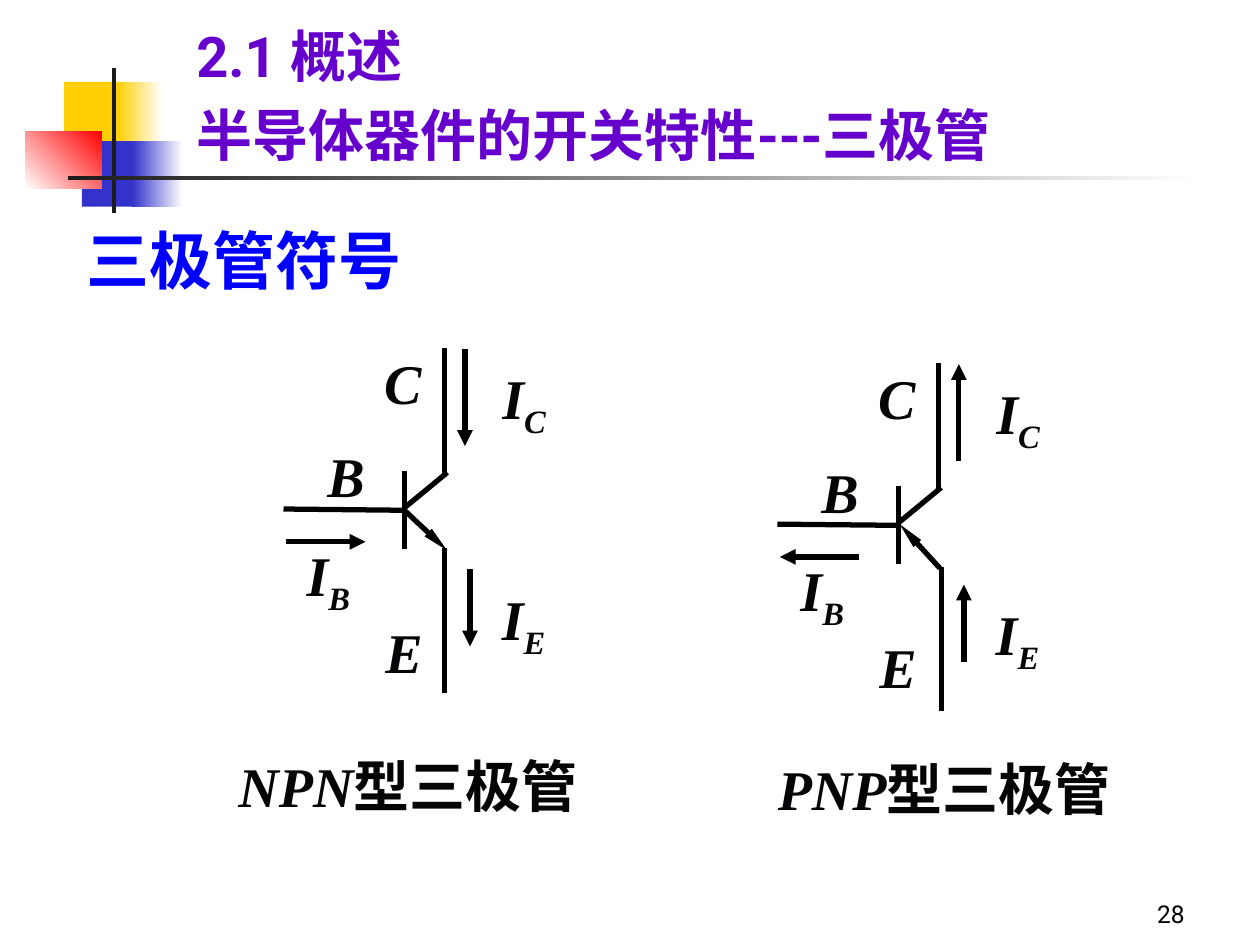
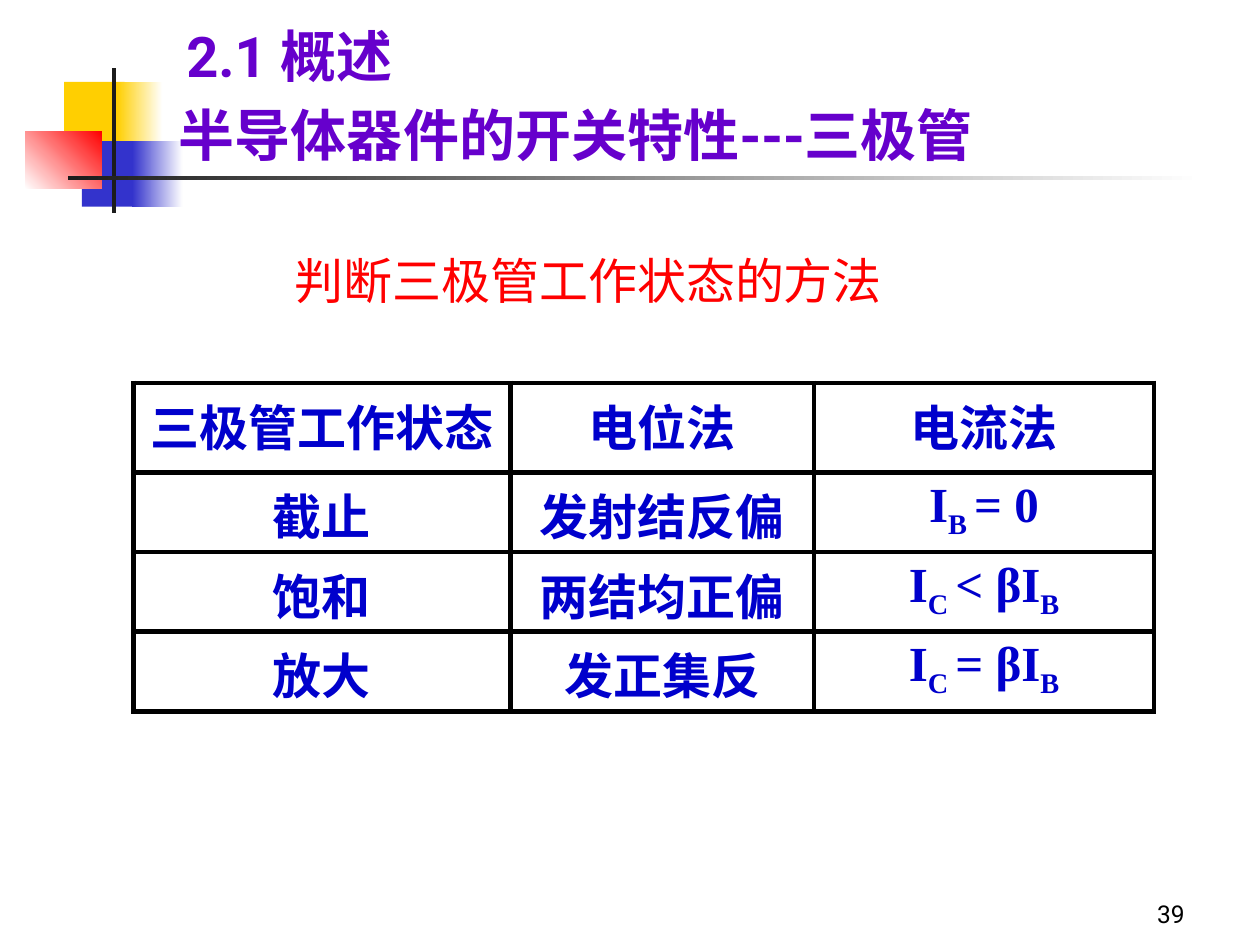
"""Builds two slides on transistor symbols and operating states."""
from lxml import etree
from pptx import Presentation
from pptx.dml.color import RGBColor
from pptx.enum.shapes import MSO_CONNECTOR, MSO_SHAPE
from pptx.enum.text import MSO_ANCHOR, MSO_AUTO_SIZE, PP_ALIGN
from pptx.oxml.ns import qn
from pptx.util import Pt

LEFT, CENTER, RIGHT = PP_ALIGN.LEFT, PP_ALIGN.CENTER, PP_ALIGN.RIGHT
TOP, MIDDLE, BOTTOM = MSO_ANCHOR.TOP, MSO_ANCHOR.MIDDLE, MSO_ANCHOR.BOTTOM
STRAIGHT, RECTANGLE = MSO_CONNECTOR.STRAIGHT, MSO_SHAPE.RECTANGLE
NO_AUTOFIT = MSO_AUTO_SIZE.NONE

EMU_PER_PX = 9144
TITLE_ONLY = 5
SERIF, SANS, HEADING, CJK = "Times New Roman", "Arial", "Roboto", "Noto Sans CJK SC"
COLORS = {
    "white": "FFFFFF", "black": "000000", "ink": "050507", "bar": "1C1C1C",
    "yellow": "FFCF01", "indigo": "3333CC", "red": "FF0000",
    "title": "6600CC", "heading": "0000FF", "table": "0000CC",
}
ORNAMENT = [
    ((51, 65, 48, 52), ("yellow",), 0),
    ((93, 65, 36, 52), ("yellow", "white"), 0),
    ((65, 112, 46, 52), ("indigo",), 0),
    ((105, 112, 40, 52), ("indigo", "white"), 0),
    ((20, 104, 61, 46), ("white", "red"), 45),
    ((89, 54, 3, 115), ("bar",), 0),
    ((54, 140, 900, 3), ("bar", "white"), 0),
]
LEADS = [
    (225, 404, 323, 405),
    (321, 374, 321, 436),
    (321, 403, 355, 375),
    (353, 276, 353, 377),
]
CURRENTS = [(227, 430, 290, 430), (373, 452, 373, 513), (369, 277, 369, 354)]
LABELS = [
    ("B", 250, 346, 49), ("E", 296, 485, 49), ("C", 295, 272, 49),
    ("I|B", 232, 428, 57), ("I|E", 385, 463, 61), ("I|C", 371, 287, 90),
]
STATES = [
    ("三极管工作状态", "电位法", "电流法"),
    ("截止", "发射结反偏", "I|B |= 0"),
    ("饱和", "两结均正偏", "I|C |< βI|B"),
    ("放大", "发正集反", "I|C |= βI|B"),
]


def px(*lengths):
    return [length * EMU_PER_PX for length in lengths]


def rgb(color):
    return RGBColor.from_string(COLORS[color])


class Deck:
    def __init__(self):
        self.presentation = Presentation()
        self.presentation.slide_width, self.presentation.slide_height = px(1000, 750)
        self.slide = None

    def start_slide(self, number, title_box, section_left):
        layout = self.presentation.slide_layouts[TITLE_ONLY]
        self.slide = self.presentation.slides.add_slide(layout)
        for box, colors, angle in ORNAMENT:
            self.block(box, colors, angle)
        self.title("半导体器件的开关特性---三极管", title_box)
        self.text("2.1 概述", (section_left, 13, 819, 62), HEADING, 32, "title",
                  bold=True, anchor=BOTTOM)
        self.text(number, (742, 692, 208, 50), HEADING, 14, "black",
                  align=RIGHT, anchor=BOTTOM)

    def block(self, box, colors, angle):
        block = self.slide.shapes.add_shape(RECTANGLE, *px(*box))
        block.shadow.inherit = False
        block.line.fill.background()
        if len(colors) == 1:
            block.fill.solid()
            block.fill.fore_color.rgb = rgb(colors[0])
            return
        block.fill.gradient()
        block.fill.gradient_angle = angle
        for stop, color, position in zip(block.fill.gradient_stops, colors, (0, 1)):
            stop.color.rgb = rgb(color)
            stop.position = position

    def add_runs(self, paragraph, text, font, size, color, bold, italic, align):
        """Adds runs whose pieces alternate, at each bar, between base line and subscript."""
        paragraph.alignment = align
        for index, piece in enumerate(text.split("|")):
            run = paragraph.add_run()
            run.text = piece
            run.font.size, run.font.bold, run.font.italic = Pt(size), bold, italic
            run.font.color.rgb = rgb(color)
            run.font.name = font
            properties = run._r.get_or_add_rPr()
            etree.SubElement(properties, qn("a:ea"), typeface=CJK)
            if index % 2:
                properties.set("baseline", "-25000")

    def title(self, text, box):
        title = self.slide.shapes.title
        title.left, title.top, title.width, title.height = px(*box)
        title.element.getparent().append(title.element)
        frame = title.text_frame
        frame.auto_size = NO_AUTOFIT
        frame.vertical_anchor = BOTTOM
        self.add_runs(frame.paragraphs[0], text, HEADING, 32, "title", True, False, LEFT)

    def text(self, text, box, font, size, color, bold=False, italic=False,
             align=LEFT, anchor=MIDDLE, wrap=True):
        frame = self.slide.shapes.add_textbox(*px(*box)).text_frame
        frame.word_wrap = wrap
        frame.vertical_anchor = anchor
        paragraph = frame.paragraphs[0]
        self.add_runs(paragraph, text, font, size, color, bold, italic, align)
        return paragraph

    def line(self, ends, arrow=None):
        line = self.slide.shapes.add_connector(STRAIGHT, *px(*ends))
        line.line.width = Pt(3)
        line.line.color.rgb = rgb("black")
        properties = line.element.spPr
        if arrow:
            width, length = arrow
            etree.SubElement(properties.find(qn("a:ln")), qn("a:tailEnd"),
                             type="triangle", w=width, len=length)
        etree.SubElement(properties, qn("a:effectLst"))

    def transistor(self, dx, dy, emitter, emitter_lead, inward):
        def shift(ends):
            x1, y1, x2, y2 = ends
            return x1 + dx, y1 + dy, x2 + dx, y2 + dy

        for lead in LEADS + [emitter_lead]:
            self.line(shift(lead))
        self.line(shift(emitter), ("sm", "lg"))
        for current in CURRENTS:
            ends = current if inward else current[2:] + current[:2]
            self.line(shift(ends), ("med", "med"))
        for label, left, top, width in LABELS:
            self.text(label, (left + dx, top + dy, width, 63), SERIF, 32, "ink",
                      bold=True, italic=True, align=CENTER, wrap=False)

    def caption(self, polarity, box):
        paragraph = self.text(polarity, box, SERIF, 32, "ink", bold=True,
                              italic=True, align=CENTER)
        self.add_runs(paragraph, "型三极管", SERIF, 32, "ink", True, False, CENTER)

    def table(self, rows, left, top, widths, heights):
        frame = self.slide.shapes.add_table(
            len(rows), len(widths), *px(left, top, sum(widths), sum(heights)))
        table = frame.table
        table.first_row = table.horz_banding = False
        for column, width in zip(table.columns, px(*widths)):
            column.width = width
        for row, height, texts in zip(table.rows, px(*heights), rows):
            row.height = height
            for cell, text in zip(row.cells, texts):
                cell.fill.background()
                cell.vertical_anchor = TOP
                self.add_runs(cell.text_frame.paragraphs[0], text, SERIF, 28, "table",
                              True, False, CENTER)
                self.borders(cell)

    def borders(self, cell):
        properties = cell._tc.get_or_add_tcPr()
        for index, side in enumerate(("a:lnL", "a:lnR", "a:lnT", "a:lnB")):
            border = etree.Element(qn(side), w=str(Pt(3)))
            fill = etree.SubElement(border, qn("a:solidFill"))
            etree.SubElement(fill, qn("a:srgbClr"), val=COLORS["black"])
            properties.insert(index, border)


def main():
    deck = Deck()

    deck.start_slide("28", (146, 84, 838, 54), 146)
    deck.text("三极管符号", (59, 170, 306, 71), SERIF, 36, "heading", bold=True)
    deck.transistor(0, 0, (321, 405, 355, 437), (353, 435, 353, 550), True)
    deck.transistor(392, 12, (354, 439, 322, 404), (355, 438, 355, 552), False)
    deck.caption("NPN", (179, 592, 290, 63))
    deck.caption("PNP", (607, 594, 285, 63))

    deck.start_slide("39", (132, 76, 852, 62), 138)
    deck.text("判断三极管工作状态的方法", (224, 194, 512, 57), SANS, 28, "red", anchor=TOP)
    deck.table(STATES, 106, 304, (299, 241, 270), (71, 63, 63, 63))

    deck.presentation.save("out.pptx")


if __name__ == "__main__":
    main()
